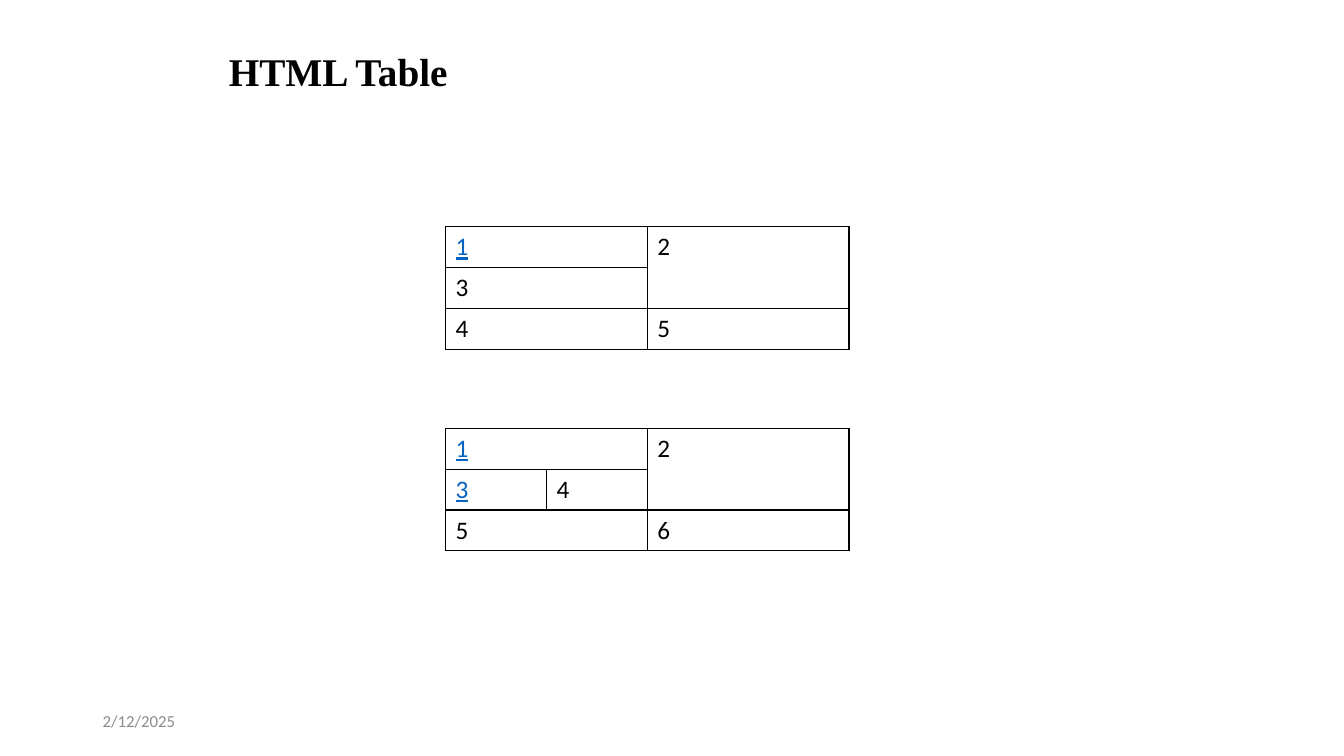
from dataclasses import dataclass

from lxml import etree
from pptx import Presentation
from pptx.dml.color import RGBColor
from pptx.enum.text import MSO_ANCHOR, MSO_AUTO_SIZE, PP_ALIGN
from pptx.oxml.ns import qn
from pptx.util import Inches, Pt

BLACK = RGBColor(0x00, 0x00, 0x00)
WHITE = RGBColor(0xFF, 0xFF, 0xFF)
GREY = RGBColor(0x8C, 0x8C, 0x8C)
LINK_BLUE = RGBColor(0x05, 0x63, 0xC1)
LEFT = PP_ALIGN.LEFT
MIDDLE = MSO_ANCHOR.MIDDLE
NO_AUTOFIT = MSO_AUTO_SIZE.NONE

TITLE_FORMAT = {"name": "Times New Roman", "size": Pt(28), "bold": True}
DATE_FORMAT = {"name": "Calibri", "size": Pt(12)}
PLAIN_FORMAT = {"name": "Calibri", "size": Pt(18)}
LINK_FORMAT = {**PLAIN_FORMAT, "underline": True}

TABLE_LEFT = 4.42
ROW_HEIGHT = 0.405
BORDER_TAGS = ("a:lnL", "a:lnR", "a:lnT", "a:lnB")


@dataclass(frozen=True)
class Entry:
    row: int
    column: int
    text: str
    row_span: int = 1
    column_span: int = 1
    is_link: bool = False


@dataclass(frozen=True)
class SpanTable:
    top: float
    column_widths: tuple[float, ...]
    row_count: int
    entries: tuple[Entry, ...]


TABLES = (
    SpanTable(2.25, (2, 2), 3, (
        Entry(0, 0, "1", is_link=True),
        Entry(0, 1, "2", row_span=2),
        Entry(1, 0, "3"),
        Entry(2, 0, "4"),
        Entry(2, 1, "5"),
    )),
    SpanTable(4.25, (1, 1, 2), 3, (
        Entry(0, 0, "1", column_span=2, is_link=True),
        Entry(0, 2, "2", row_span=2),
        Entry(1, 0, "3", is_link=True),
        Entry(1, 1, "4"),
        Entry(2, 0, "5", column_span=2),
        Entry(2, 2, "6"),
    )),
)


def write(frame, text: str, formats: dict, color: RGBColor) -> None:
    para = frame.paragraphs[0]
    para.alignment = LEFT
    span = para.add_run()
    span.text = text
    for name, value in formats.items():
        setattr(span.font, name, value)
    span.font.color.rgb = color


def format_cell(cell) -> None:
    """Give a cell a black outline and a white fill."""
    properties = cell._tc.get_or_add_tcPr()
    for tag in BORDER_TAGS:
        line = etree.SubElement(properties, qn(tag), w=str(Pt(1)))
        fill = etree.SubElement(line, qn("a:solidFill"))
        etree.SubElement(fill, qn("a:srgbClr"), val=str(BLACK))
    cell.fill.solid()
    cell.fill.fore_color.rgb = WHITE


def draw_table(page, layout: SpanTable) -> None:
    table = page.shapes.add_table(
        layout.row_count, len(layout.column_widths),
        Inches(TABLE_LEFT), Inches(layout.top),
        Inches(sum(layout.column_widths)), Inches(ROW_HEIGHT * layout.row_count),
    ).table
    table.first_row = False
    table.horz_banding = False
    for column, width in zip(table.columns, layout.column_widths):
        column.width = Inches(width)
    for row in table.rows:
        row.height = Inches(ROW_HEIGHT)
    for cell in table.iter_cells():
        format_cell(cell)
    for entry in layout.entries:
        cell = table.cell(entry.row, entry.column)
        if entry.row_span > 1 or entry.column_span > 1:
            cell.merge(table.cell(entry.row + entry.row_span - 1,
                                  entry.column + entry.column_span - 1))
        formats, color = (LINK_FORMAT, LINK_BLUE) if entry.is_link else (PLAIN_FORMAT, BLACK)
        write(cell.text_frame, entry.text, formats, color)


def main() -> None:
    deck = Presentation()
    deck.slide_width, deck.slide_height = Inches(13.33), Inches(7.5)
    page = deck.slides.add_slide(deck.slide_layouts[5])

    # Title
    title = page.shapes.title
    title.left, title.top = Inches(2.17), Inches(0.3)
    title.width, title.height = Inches(9), Inches(0.87)
    title.text_frame.auto_size = NO_AUTOFIT
    title.text_frame.vertical_anchor = MIDDLE
    write(title.text_frame, "HTML Table", TITLE_FORMAT, BLACK)
    title.text_frame.paragraphs[0].line_spacing = 0.9

    # Date
    date = page.shapes.add_textbox(Inches(0.92), Inches(6.95), Inches(3), Inches(0.4))
    date.text_frame.word_wrap = True
    date.text_frame.vertical_anchor = MIDDLE
    write(date.text_frame, "2/12/2025", DATE_FORMAT, GREY)

    # Tables with spanning cells
    for layout in TABLES:
        draw_table(page, layout)

    deck.save("out.pptx")


if __name__ == "__main__":
    main()
